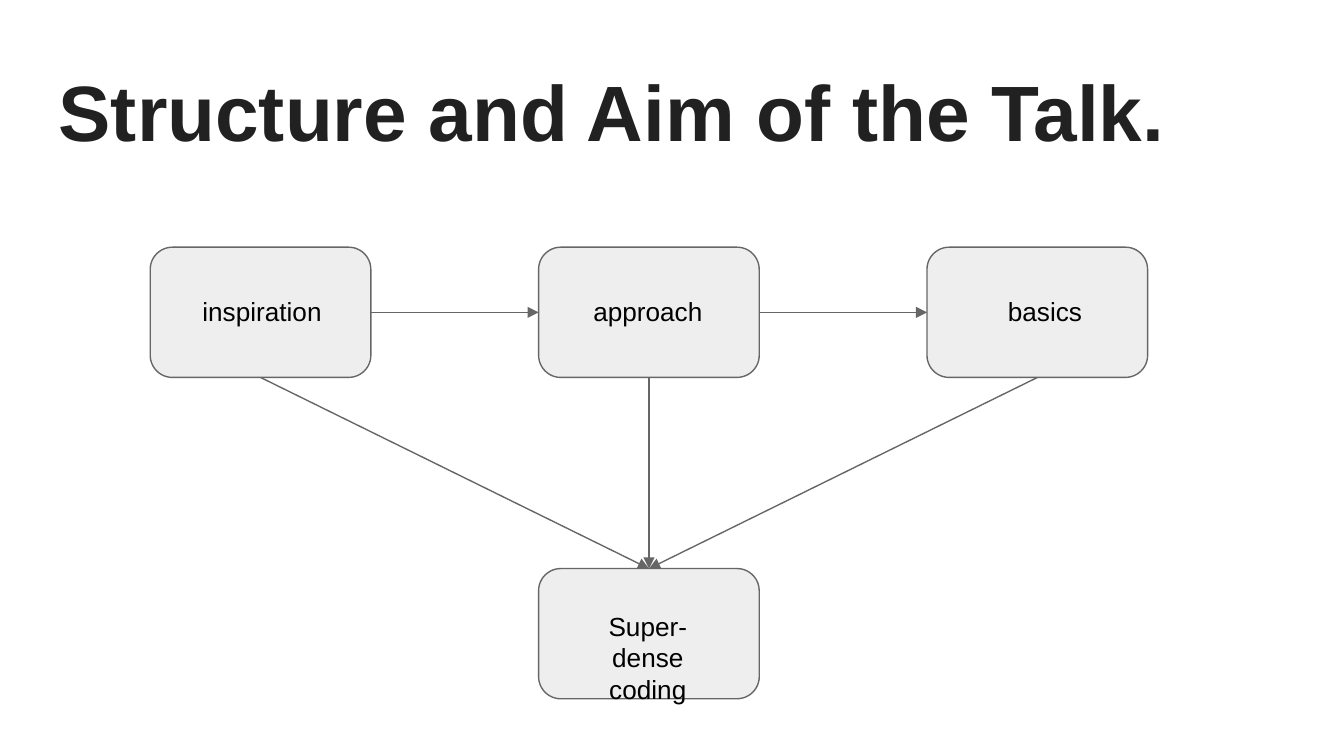
from lxml.etree import SubElement
from pptx import Presentation
from pptx.dml.color import RGBColor
from pptx.enum.shapes import MSO_CONNECTOR, MSO_SHAPE
from pptx.enum.text import MSO_ANCHOR, PP_ALIGN
from pptx.oxml.ns import qn
from pptx.util import Cm, Pt


def color(value):
    return RGBColor.from_string(value)


def add_text(slide, wording, left, top, width, height, size, ink):
    box = slide.shapes.add_textbox(Cm(left), Cm(top), Cm(width), Cm(height))
    frame = box.text_frame
    frame.word_wrap = True
    frame.vertical_anchor = MSO_ANCHOR.TOP
    frame.margin_left = frame.margin_right = Cm(0.25)
    frame.margin_top = frame.margin_bottom = Cm(0.25)
    frame.text = wording
    font = frame.paragraphs[0].runs[0].font
    font.name = "Arial"
    font.size = Pt(size)
    font.color.rgb = color(ink)
    return frame


prs = Presentation()
prs.slide_width = Cm(25.4)
prs.slide_height = Cm(14.28)
slide = prs.slides.add_slide(prs.slide_layouts[6])

title = add_text(slide, "Structure and Aim of the Talk.",
                 0.86, 0.81, 23.67, 2.24, 42, "212121")
title.margin_top = Cm(0.38)
title.paragraphs[0].runs[0].font.bold = True

first_left, column_step = 2.84, 7.34
upper_top, lower_top = 4.67, 10.74

topics = []
for column, top in [(0, upper_top), (1, upper_top), (2, upper_top), (1, lower_top)]:
    topic = slide.shapes.add_shape(
        MSO_SHAPE.ROUNDED_RECTANGLE,
        Cm(first_left + column * column_step), Cm(top), Cm(4.17), Cm(2.46))
    topic.shadow.inherit = False
    topic.adjustments[0] = 0.17
    topic.fill.solid()
    topic.fill.fore_color.rgb = color("EEEEEE")
    topic.line.color.rgb = color("666666")
    topic.line.width = Pt(0.75)
    topics.append(topic)

inspiration, approach, basics, coding = topics
steps = [
    (inspiration, 2, coding, 0),
    (inspiration, 3, approach, 1),
    (approach, 3, basics, 1),
    (basics, 2, coding, 0),
    (approach, 2, coding, 0),
]
for source, source_side, target, target_side in steps:
    arrow = slide.shapes.add_connector(MSO_CONNECTOR.STRAIGHT, 0, 0, 0, 0)
    arrow.begin_connect(source, source_side)
    arrow.end_connect(target, target_side)
    arrow.line.color.rgb = color("666666")
    arrow.line.width = Pt(0.75)
    SubElement(arrow.line._get_or_add_ln(), qn("a:tailEnd"), type="triangle")
    SubElement(arrow._element.spPr, qn("a:effectLst"))

labels = [
    ("inspiration", 3.48, 5.33, 2.95, 1.27),
    ("approach", 10.77, 5.33, 2.95, 1.27),
    ("basics", 18.16, 5.33, 3.18, 0.97),
    ("Super-dense coding", 10.77, 11.28, 2.95, 0.97),
]
for wording, left, top, width, height in labels:
    label = add_text(slide, wording, left, top, width, height, 14, "000000")
    label.paragraphs[0].alignment = PP_ALIGN.CENTER

prs.save("out.pptx")
